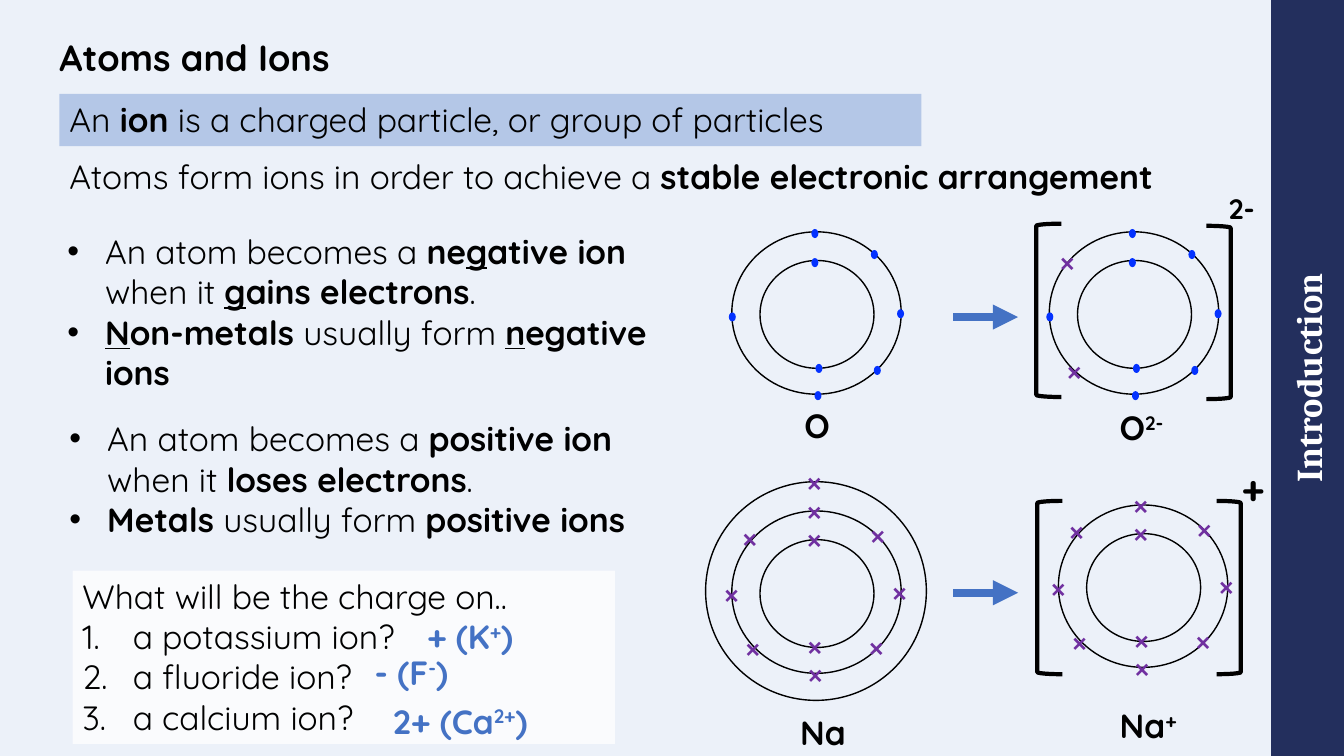
from lxml import etree
from pptx import Presentation
from pptx import util as u
from pptx.dml import color
from pptx.enum import shapes, text
from pptx.oxml import ns

Kind = shapes.MSO_SHAPE
Fit = text.MSO_AUTO_SIZE
BLACK, WHITE, BLUE = "000000", "FFFFFF", "4472C4"
DOT, CROSS, NAVY, PALE = "0432FF", "7030A0", "232F5D", "B4C7E7"
BODY, SERIF = "Quicksand", "Cambria"


def rgb(code):
    return color.RGBColor.from_string(code)


def add(node, tag, **attrs):
    return etree.SubElement(node, ns.qn(tag), attrs)


def apply(item, values):
    for name, value in values.items():
        setattr(item, name, value)


def parts(line):
    """Yield text, bold, underline and raised flags; * _ ^ switch them."""
    for b, bold in enumerate(line.split("*")):
        for n, under in enumerate(bold.split("_")):
            for r, piece in enumerate(under.split("^")):
                if piece:
                    yield piece, b % 2 == 1, n % 2 == 1, r % 2 == 1


class Slide:
    style = {"font": BODY, "size": 24, "ink": BLACK}

    def __init__(self, deck, back):
        self.page = deck.slides.add_slide(deck.slide_layouts[6])
        fill = self.page.background.fill
        fill.solid()
        fill.fore_color.rgb = rgb(back)

    def shape(self, kind, box, fill=None, line=None, alpha=None):
        item = self.page.shapes.add_shape(kind, *map(u.Pt, box))
        item.shadow.inherit = False
        if fill:
            item.fill.solid()
            item.fill.fore_color.rgb = rgb(fill)
            if alpha:
                hue = item._element.spPr.find(".//" + ns.qn("a:srgbClr"))
                add(hue, "a:alpha", val=str(alpha * 1000))
        else:
            item.fill.background()
        if line:
            item.line.color.rgb = rgb(BLACK)
            item.line.width = u.Pt(line)
        else:
            item.line.fill.background()
        return item

    def text(self, box, lines, **style):
        item = self.page.shapes.add_textbox(*map(u.Pt, box))
        self.put(item, lines, **style)

    def put(self, item, lines, frame=None, para=None, mark=None, dent=0, **style):
        """Fill a shape with lines; mark maps a line number to its bullet tag."""
        style = {**self.style, **style}
        body = item.text_frame
        apply(body, {"word_wrap": True, "auto_size": Fit.SHAPE_TO_FIT_TEXT,
                     "vertical_anchor": text.MSO_ANCHOR.TOP, **(frame or {})})
        for at, line in enumerate(lines):
            p = body.add_paragraph() if at else body.paragraphs[0]
            apply(p, {"alignment": text.PP_ALIGN.LEFT, **(para or {})})
            if mark and mark(at):
                tag, attrs = mark(at)
                props = p._p.get_or_add_pPr()
                props.set("marL", str(u.Pt(dent)))
                props.set("indent", str(-u.Pt(dent)))
                add(props, "a:buFont", typeface="Arial" if tag == "a:buChar" else "+mj-lt")
                add(props, tag, **attrs)
            for piece, bold, under, high in parts(line):
                run = p.add_run()
                run.text = piece
                apply(run.font, {"name": style["font"], "size": u.Pt(style["size"]),
                                 "bold": bold, "underline": under})
                run.font.color.rgb = rgb(style["ink"])
                if high:
                    run._r.get_or_add_rPr().set("baseline", "30000")

    def label(self, box, line, **style):
        """Place one bold line that does not wrap."""
        self.text(box, [f"*{line}*"], frame={"word_wrap": False}, **style)

    def arrow(self, x, y, end):
        item = self.page.shapes.add_connector(
            shapes.MSO_CONNECTOR.STRAIGHT, *map(u.Pt, (x, y, end, y)))
        item.line.color.rgb = rgb(BLUE)
        item.line.width = u.Pt(6)
        props = item._element.spPr
        add(props.get_or_add_ln(), "a:tailEnd", type="triangle")
        add(props, "a:effectLst")

    def shells(self, x, y, third=False):
        rings = [(0, 0, 121, 116), (20.2, 20.5, 81.4, 77)]
        if third:
            rings.append((-18.7, -20.9, 157.7, 156.2))
        for dx, dy, w, h in rings:
            self.shape(Kind.OVAL, (x + dx, y + dy, w, h), line=1)

    def dots(self, x, y, spots):
        for dx, dy in spots:
            self.shape(Kind.OVAL, (x + dx - 2.5, y + dy - 3.25, 5, 6.5), DOT)

    def crosses(self, x, y, spots):
        for dx, dy in spots:
            self.label((x + dx, y + dy, 28.8, 31.7), "×", font=SERIF, size=20, ink=CROSS)

    def clasp(self, left, right, top, drop=0):
        """Draw a pair of square brackets."""
        self.shape(Kind.LEFT_BRACKET, (left, top, 18, 123.8), line=3)
        self.shape(Kind.RIGHT_BRACKET, (right, top + drop, 17.3, 123.8), line=3)


def bullet(at):
    return "a:buChar", {"char": "•"}


def number(at):
    return ("a:buAutoNum", {"type": "arabicPeriod"}) if at else None


def main():
    deck = Presentation()
    deck.slide_width, deck.slide_height = u.Pt(960), u.Pt(540)
    s = Slide(deck, "ECF1F9")
    bare = dict.fromkeys(
        ("margin_left", "margin_top", "margin_right", "margin_bottom"), 0)
    bare["auto_size"] = Fit.NONE

    side = s.shape(Kind.RECTANGLE, (664, 244, 540, 52), NAVY)
    side.rotation = 270
    s.put(side, ["*Introduction*"], font=SERIF, size=26, ink=WHITE,
          frame={**bare, "vertical_anchor": text.MSO_ANCHOR.MIDDLE},
          para={"alignment": text.PP_ALIGN.CENTER})

    s.text((42.5, 0, 836, 57), ["*Atoms and Ions*"], size=26,
           frame={**bare, "vertical_anchor": text.MSO_ANCHOR.BOTTOM},
           para={"line_spacing": 0.9})
    band = s.shape(Kind.RECTANGLE, (42.5, 67, 615.6, 37.4), PALE)
    s.put(band, ["An* ion *is a charged particle, or group of particles"])
    s.text((42.5, 108, 826.6, 36.4),
           ["Atoms form ions in order to achieve a *stable electronic arrangement*"],
           frame={"word_wrap": False})

    s.text((41, 161.3, 437.8, 123.8),
           ["An atom becomes a *ne_g_ative ion *when it *_g_ains electrons*.",
            "*_N_on-metals* usually form *_n_egative ions*"], mark=bullet, dent=27)
    s.text((42.5, 295.2, 437.8, 94.5),
           ["An atom becomes a *positive ion *when it *loses electrons*.",
            "*Metals* usually form *positive ions*"], mark=bullet, dent=27)

    dots = [(59.4, 22), (62.3, 97.6), (61.6, 117), (59.4, 1.2),
            (120.6, 58.5), (0.4, 60.8), (101.9, 16.2), (104, 99)]
    for x in (522.7, 749.5):
        s.shells(x, 165.6)
        s.dots(x, 165.6, dots)
    s.crosses(749.5, 165.6, [(0, 5.8), (5, 83.5)])

    ticks = [(46, -16.2), (46, 4.3), (46.5, 80.3), (46.8, 100.4), (-13, 43),
             (107, 42), (0, 2.9), (91.4, 1.4), (2.2, 82), (90.4, 81)]
    for x, y, third in ((522.7, 365, True), (756, 360.7, False)):
        s.shells(x, y, third)
        s.crosses(x, y, ticks)
    s.crosses(522.7, 365, [(46, -36.7)])

    s.clasp(740.2, 861.8, 159.8, 1.5)
    s.clasp(740.9, 869, 357.8)
    for y in (226.5, 423.4):
        s.arrow(680.8, y, 727.2)

    quiz = s.shape(Kind.RECTANGLE, (51.8, 407.5, 387.4, 123.8), WHITE, alpha=75)
    s.put(quiz, ["What will be the charge on..", "a potassium ion?",
                 "a fluoride ion?", "a calcium ion?"], mark=number, dent=36)
    for x, y, w, line in ((298, 436.3, 79.2, "+ (K^+^)"),
                          (260.6, 462.2, 68.4, "- (F^-^)"),
                          (273.6, 496.8, 121.7, "2+ (Ca^2+^)")):
        s.label((x, y, w, 36.4), line, ink=BLUE)
    for x, y, w, line in ((567.4, 285.8, 34.6, "O"), (792.7, 287.3, 51, "O^2-^"),
                          (564.5, 504.7, 48.2, "Na"), (792.7, 499.7, 58.3, "Na^+^")):
        s.label((x, y, w, 36.4), line)
    s.label((870.5, 133.2, 34.6, 31.7), "2-", size=20)
    s.label((879.8, 328.3, 31.7, 41), "+", size=28)

    deck.save("out.pptx")


if __name__ == "__main__":
    main()
